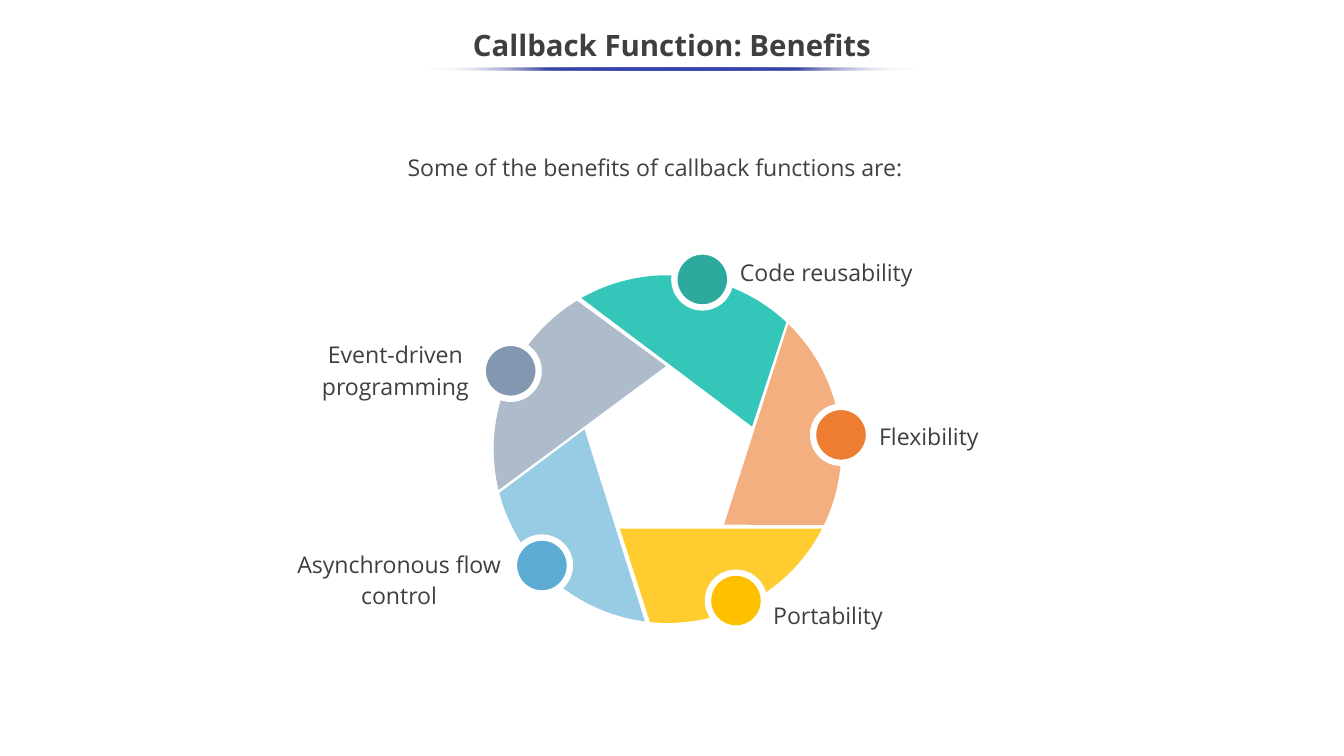
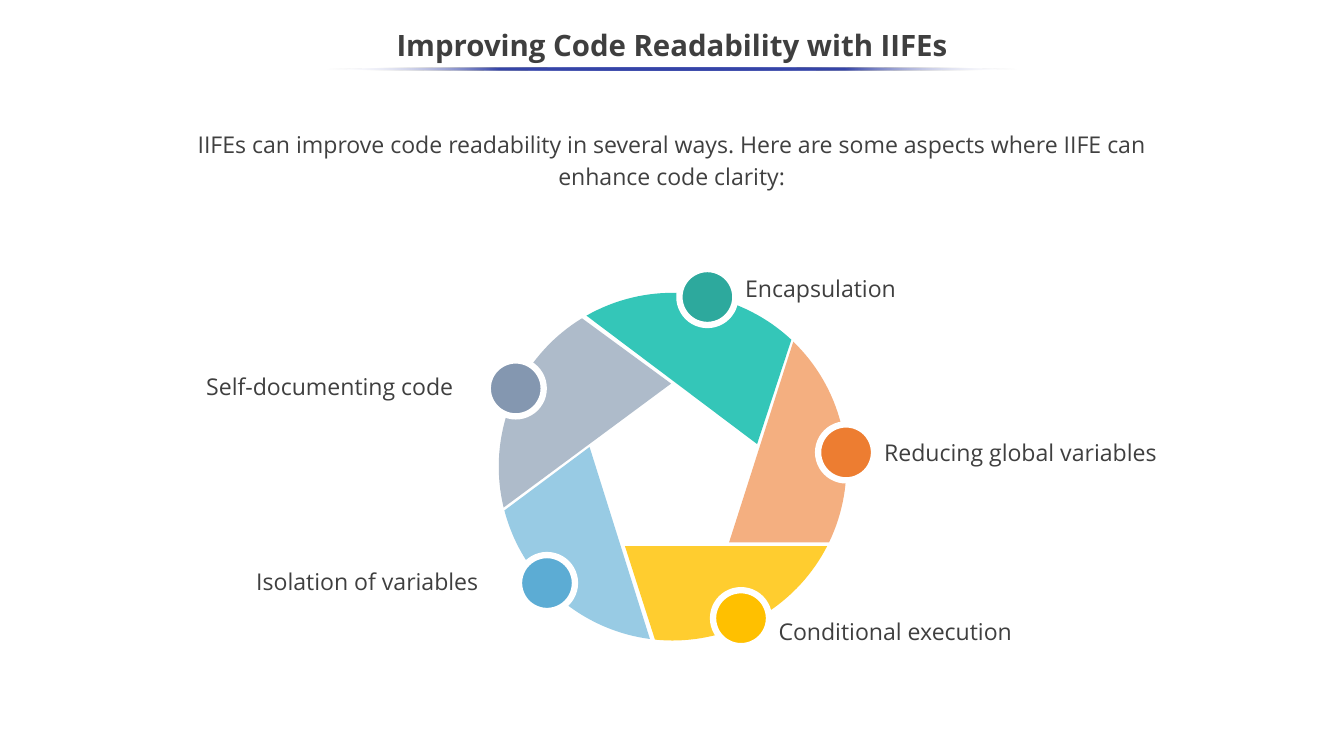
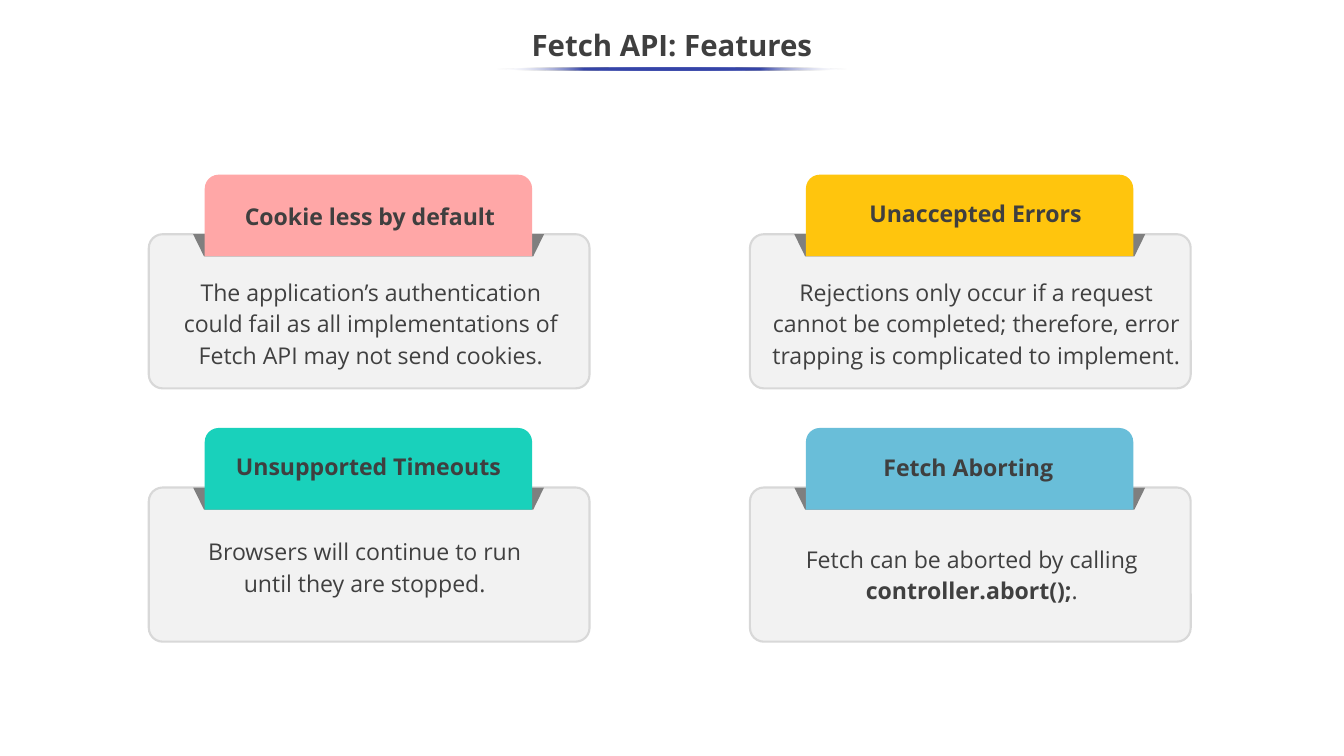
from math import cos, radians, sin

from lxml import etree
from pptx import Presentation
from pptx import util as u
from pptx.dml.color import RGBColor
from pptx.enum import shapes, text
from pptx.oxml import parse_xml
from pptx.oxml.ns import nsdecls

PAGE_WIDTH, PAGE_HEIGHT = 45.16, 25.4
FONT = "Open Sans"
COLOURS = {
    "title": "3F3F3F", "body": "404040", "rule": "3645A9", "white": "FFFFFF",
    "card": "F2F2F2", "card edge": "D8D8D8", "fold": "7F7F7F",
    "teal": "34C6B8", "teal dot": "2DA99D",
    "orange": "F4AF80", "orange dot": "ED7D31",
    "yellow": "FFCD2F", "yellow dot": "FFC000",
    "blue": "98CBE4", "blue dot": "5CACD4",
    "grey": "AEBBCA", "grey dot": "8497B0",
    "pink tab": "FFA7A7", "amber tab": "FFC50D",
    "green tab": "19D1BB", "sky tab": "69BED9",
}

# Lengths are centimetres; boxes are left, top, width, height.
WHEELS = [
    {
        "title": "Callback Function: Benefits",
        "rule": 16.71,
        "intro": "Some of the benefits of callback functions are:",
        "intro box": (4.37, 5.08, 35.28, 1.07),
        "intro spacing": 1.0,
        "centre": (22.43, 15.09),
        "label spacing": 1.14,
        "labels": [
            ("Code reusability", (24.61, 8.43, 8.51, 1.32), "LEFT"),
            ("Flexibility", (29.29, 13.94, 5, 1.32), "LEFT"),
            ("Portability", (25.73, 19.94, 7.42, 1.32), "LEFT"),
            ("Asynchronous flow control", (9.7, 18.21, 7.42, 2.41), "CENTER"),
            ("Event-driven programming", (10.49, 11.18, 5.59, 2.41), "CENTER"),
        ],
    },
    {
        "title": "Improving Code Readability with IIFEs",
        "rule": 23.19,
        "intro": "IIFEs can improve code readability in several ways. "
                 "Here are some aspects where IIFE can enhance code clarity:",
        "intro box": (4.93, 4.55, 35.28, 1.55),
        "intro spacing": 1.14,
        "centre": (22.6, 15.68),
        "label spacing": 1.0,
        "labels": [
            ("Encapsulation", (24.79, 9.09, 8.51, 1.19), "LEFT"),
            ("Reducing global variables", (29.46, 14.61, 10.49, 1.19), "LEFT"),
            ("Conditional execution", (25.91, 20.62, 9.27, 1.19), "LEFT"),
            ("Isolation of variables", (8.36, 18.92, 8.94, 1.19), "LEFT"),
            ("Self-documenting code", (6.68, 12.37, 9.58, 1.19), "LEFT"),
        ],
    },
]

# Colour, start and end angle of the arc, inner tip and dot from the wheel centre
BLADES = [
    ("teal", -119.7, -46.9, (2.84, -0.76), (1.17, -5.7)),
    ("orange", -46, 25.8, (1.9, 2.54), (5.83, -0.48)),
    ("yellow", 27.2, 95.8, (-1.6, 2.67), (2.3, 5.09)),
    ("blue", 97.5, 165.4, (-2.79, -0.66), (-4.22, 3.91)),
    ("grey", 166.4, 238.6, (-0.05, -2.79), (-5.27, -2.63)),
]
WHEEL_RADIUS, DOT_SIZE, ARC_STEPS = 5.84, 1.88, 36

FEATURES_TITLE, FEATURES_RULE = "Fetch API: Features", 11.81
# Tab colour, heading, heading box, body runs (text, bold), body box
FEATURES = [
    ("pink tab", "Cookie less by default", (6.93, 6.68, 11, 1.19),
     [("The application’s authentication could fail as all implementations "
       "of Fetch API may not send cookies.", False)], (5.54, 9.09, 13.84, 3.48)),
    ("amber tab", "Unaccepted Errors", (27.28, 6.58, 11, 1.19),
     [("Rejections only occur if a request cannot be completed; therefore, "
       "error trapping is complicated to implement.", False)],
     (25.45, 9.09, 14.71, 3.58)),
    ("green tab", "Unsupported Timeouts", (6.93, 15.06, 10.9, 1.19),
     [("Browsers will continue to run until they are stopped.", False)],
     (6.3, 17.81, 11.91, 2.41)),
    ("sky tab", "Fetch Aborting", (27.53, 15.11, 10.01, 1.19),
     [("Fetch can be aborted by calling ", False),
      ("controller.abort();", True), (".", False)], (26.7, 18.06, 11.91, 2.41)),
]
CARD_LEFTS, CARD_TOPS, CARD_SIZE = (5, 25.2), (7.87, 16.38), (14.81, 5.18)


def colour(name):
    return RGBColor.from_string(COLOURS[name])


def cm(values):
    return [u.Cm(value) for value in values]


def paint(shape, fill, line=None, width=0):
    shape.shadow.inherit = False
    shape.fill.solid()
    shape.fill.fore_color.rgb = colour(fill)
    if line:
        shape.line.color.rgb = colour(line)
        shape.line.width = u.Pt(width)
    else:
        shape.line.fill.background()


def add_preset(page, preset, box, fill, line=None, width=0, adjust=()):
    shape = page.shapes.add_shape(preset, *cm(box))
    paint(shape, fill, line, width)
    for index, value in enumerate(adjust):
        shape.adjustments[index] = value
    return shape


def write(frame, runs, align="CENTER", spacing=1.0, size=22, ink="body",
          anchor="TOP"):
    """Fill a text frame with one paragraph of (text, bold) runs."""
    frame_format = {
        "word_wrap": True, "auto_size": text.MSO_AUTO_SIZE.NONE,
        "vertical_anchor": text.MSO_ANCHOR[anchor],
        "margin_left": u.Cm(0.25), "margin_right": u.Cm(0.25),
        "margin_top": u.Cm(0.13), "margin_bottom": u.Cm(0.13),
    }
    for name, value in frame_format.items():
        setattr(frame, name, value)
    para = frame.paragraphs[0]
    para.alignment = text.PP_ALIGN[align]
    para.line_spacing = spacing
    for words, bold in runs:
        span = para.add_run()
        span.text = words
        for name, value in {"name": FONT, "size": u.Pt(size), "bold": bold}.items():
            setattr(span.font, name, value)
        span.font.color.rgb = colour(ink)


def add_text(page, box, runs, **style):
    write(page.shapes.add_textbox(*cm(box)).text_frame, runs, **style)


def add_rule(page, width):
    """Draw the thin line under the title, fading out at both ends."""
    box = ((PAGE_WIDTH - width) / 2, 2.26, width, 0.1)
    rule = add_preset(page, shapes.MSO_SHAPE.OVAL, box, "rule")
    rule.fill.gradient()
    rule.fill.gradient_angle = 0
    stops = rule.element.spPr.find(".//{*}gsLst")
    for stop in list(stops):
        stops.remove(stop)
    for place, name, alpha in [(0, "white", 0), (25, "rule", 100),
                               (75, "rule", 100), (100, "white", 0)]:
        stops.append(parse_xml(
            f'<a:gs {nsdecls("a")} pos="{place * 1000}">'
            f'<a:srgbClr val="{COLOURS[name]}"/></a:gs>'))
        if alpha < 100:
            etree.SubElement(stops[-1][0], stops[-1][0].tag.replace(
                "srgbClr", "alpha"), val=str(alpha * 1000))


def add_page(deck, title, rule_width):
    page = deck.slides.add_slide(deck.slide_layouts[5])
    holder = page.shapes.title
    holder.left, holder.top, holder.width, holder.height = cm(
        (-0.03, 0.64, 45.21, 1.9))
    write(holder.text_frame, [(title, True)], spacing=0.9, size=28,
          ink="title", anchor="MIDDLE")
    add_rule(page, rule_width)
    return page


def add_blade(page, centre, name, start, end, tip):
    angles = [radians(start + (end - start) * step / ARC_STEPS)
              for step in range(ARC_STEPS + 1)]
    arc = [(WHEEL_RADIUS * cos(angle), WHEEL_RADIUS * sin(angle))
           for angle in angles]
    points = [cm((centre[0] + x, centre[1] + y)) for x, y in [tip, *arc]]
    outline = page.shapes.build_freeform(*points[0])
    outline.add_line_segments(points[1:], close=True)
    paint(outline.convert_to_shape(), name)


def add_wheel_page(deck, wheel):
    page = add_page(deck, wheel["title"], wheel["rule"])
    add_text(page, wheel["intro box"], [(wheel["intro"], False)],
             spacing=wheel["intro spacing"], anchor="MIDDLE")
    centre = wheel["centre"]
    for name, start, end, tip, _ in BLADES:
        add_blade(page, centre, name, start, end, tip)
    for (name, *_, dot), (label, box, align) in zip(BLADES, wheel["labels"]):
        left, top = (c + d - DOT_SIZE / 2 for c, d in zip(centre, dot))
        add_preset(page, shapes.MSO_SHAPE.OVAL, (left, top, DOT_SIZE, DOT_SIZE),
                   f"{name} dot", "white", 6)
        add_text(page, box, [(label, False)], align=align, ink="title",
                 spacing=wheel["label spacing"], anchor="MIDDLE")


def add_features_page(deck):
    page = add_page(deck, FEATURES_TITLE, FEATURES_RULE)
    preset = shapes.MSO_SHAPE
    for index, (tab, heading, heading_box, body, body_box) in enumerate(FEATURES):
        left, top = CARD_LEFTS[index % 2], CARD_TOPS[index // 2]
        add_preset(page, preset.ROUNDED_RECTANGLE, (left, top, *CARD_SIZE),
                   "card", "card edge", 2, [0.09])
        fold = add_preset(page, preset.TRAPEZOID, (left + 1.49, top, 11.79, 0.74),
                          "fold", adjust=[0.49])
        fold.rotation = 180
        add_preset(page, preset.ROUND_2_SAME_RECTANGLE,
                   (left + 1.88, top - 2, 11, 2.74), tab, adjust=[0.17, 0])
        add_text(page, heading_box, [(heading, True)], ink="title")
        add_text(page, body_box, body, spacing=1.14)


def main():
    deck = Presentation()
    deck.slide_width, deck.slide_height = cm((PAGE_WIDTH, PAGE_HEIGHT))
    for wheel in WHEELS:
        add_wheel_page(deck, wheel)
    add_features_page(deck)
    deck.save("out.pptx")


if __name__ == "__main__":
    main()
